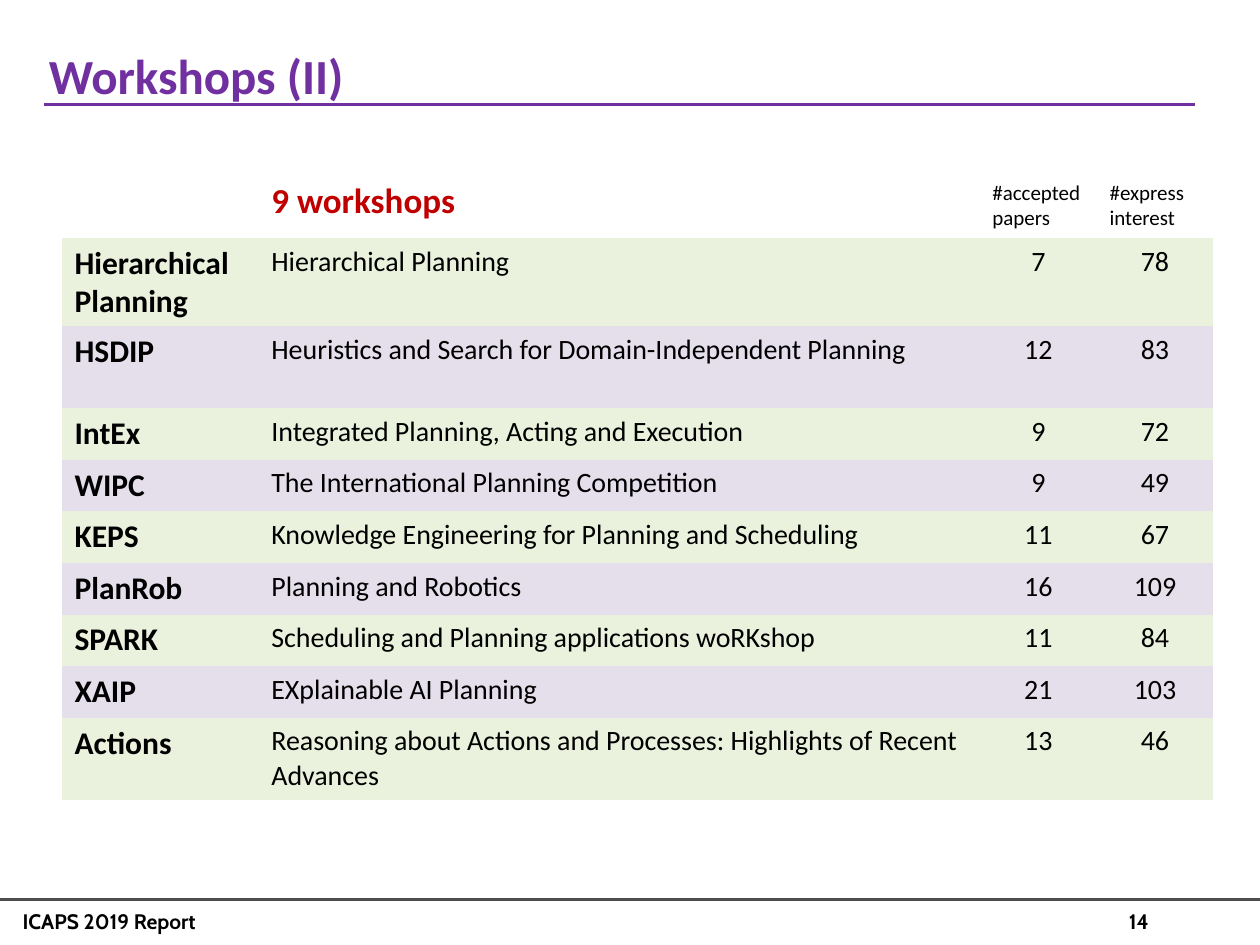
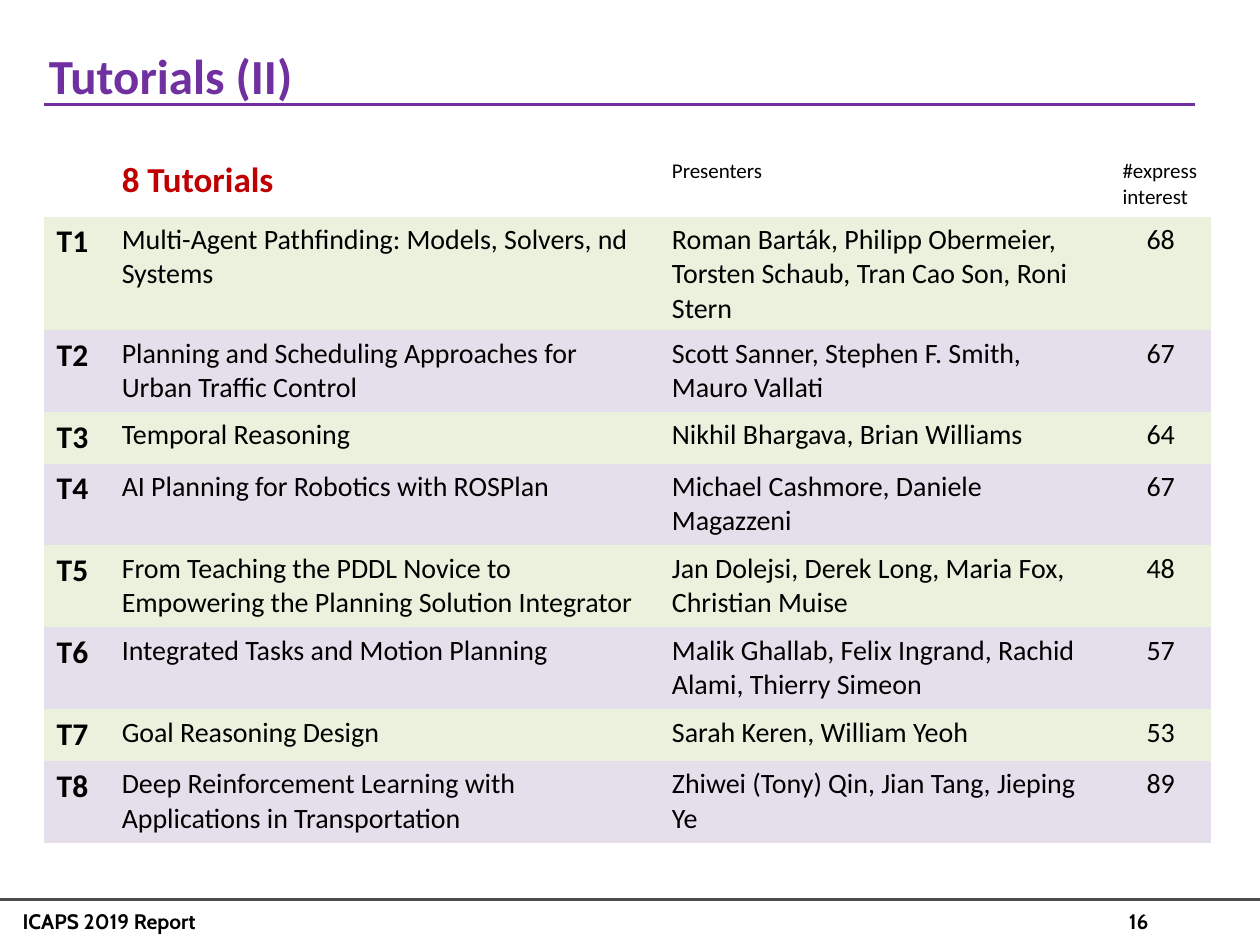
import pptx
import pptx.util
import pptx.dml.color
import pptx.enum.shapes
import pptx.enum.text
import pptx.oxml.ns
from lxml import etree

Pt = pptx.util.Pt
RGB = pptx.dml.color.RGBColor
ALIGN = pptx.enum.text.PP_ALIGN

# Shared look
PURPLE = RGB(0x70, 0x30, 0xA0)
RED = RGB(0xC0, 0x00, 0x00)
BLACK = RGB(0x00, 0x00, 0x00)
GREY = RGB(0x4D, 0x4D, 0x4D)
GREEN = RGB(0xEA, 0xF1, 0xDD)
LILAC = RGB(0xE5, 0xDF, 0xEC)
BANDS = (GREEN, LILAC)
BODY = "Calibri"
FOOT = "Cabin"
PLAIN = "{2D5ABB26-0587-4C30-8999-92F81FD0307C}"  # table style without grid

# Row heights: header, one line, two lines
HEAD, ONE, TWO = 36.7, 29.5, 46.8

WORKSHOPS = [
    ("Hierarchical Planning", "Hierarchical Planning", 7, 78),
    ("HSDIP", "Heuristics and Search for Domain-Independent Planning", 12, 83),
    ("IntEx", "Integrated Planning, Acting and Execution", 9, 72),
    ("WIPC", "The International Planning Competition", 9, 49),
    ("KEPS", "Knowledge Engineering for Planning and Scheduling", 11, 67),
    ("PlanRob", "Planning and Robotics", 16, 109),
    ("SPARK", "Scheduling and Planning applications woRKshop", 11, 84),
    ("XAIP", "EXplainable AI Planning", 21, 103),
    ("Actions", "Reasoning about Actions and Processes: "
     "Highlights of Recent Advances", 13, 46),
]

TUTORIALS = [
    ("T1", "Multi-Agent Pathfinding: Models, Solvers, nd Systems",
     "Roman Barták, Philipp Obermeier, Torsten Schaub, Tran Cao Son, "
     "Roni Stern", 68),
    ("T2", "Planning and Scheduling Approaches for Urban Traffic Control",
     "Scott Sanner, Stephen F. Smith, Mauro Vallati", 67),
    ("T3", "Temporal Reasoning", "Nikhil Bhargava, Brian Williams", 64),
    ("T4", "AI Planning for Robotics with ROSPlan",
     "Michael Cashmore, Daniele Magazzeni", 67),
    ("T5", "From Teaching the PDDL Novice to Empowering the Planning "
     "Solution Integrator",
     "Jan Dolejsi, Derek Long, Maria Fox, Christian Muise", 48),
    ("T6", "Integrated Tasks and Motion Planning",
     "Malik Ghallab, Felix Ingrand, Rachid Alami, Thierry Simeon", 57),
    ("T7", "Goal Reasoning Design", "Sarah Keren, William Yeoh", 53),
    ("T8", "Deep Reinforcement Learning with Applications in Transportation",
     "Zhiwei (Tony) Qin, Jian Tang, Jieping Ye", 89),
]


def write(frame, text, size, color=BLACK, bold=False, font=BODY,
          align=ALIGN.LEFT):
    """Add one formatted run to the first paragraph of a frame."""
    para = frame.paragraphs[0]
    para.alignment = align
    run = para.add_run()
    run.text = text
    run.font.name = font
    run.font.size = Pt(size)
    run.font.bold = bold
    run.font.color.rgb = color


def rule(slide, left, right, top, color):
    """Draw a flat horizontal line."""
    line = slide.shapes.add_connector(
        pptx.enum.shapes.MSO_CONNECTOR.STRAIGHT,
        Pt(left), Pt(top), Pt(right), Pt(top))
    line.line.color.rgb = color
    line.line.width = Pt(1.5)
    etree.SubElement(line._element.spPr, pptx.oxml.ns.qn("a:effectLst"))


def label(slide, text, left, width):
    """Add a footer text."""
    box = slide.shapes.add_textbox(Pt(left), Pt(515.5), Pt(width), Pt(21.6))
    box.text_frame.word_wrap = True
    write(box.text_frame, text, 12, bold=True, font=FOOT)


def page(deck, title, number):
    """Add a slide with footer, title and title rule."""
    slide = deck.slides.add_slide(deck.slide_layouts[5])
    rule(slide, 0, 720, 514, GREY)
    label(slide, str(number), 638, 82)
    label(slide, "ICAPS 2019 Report", 5.8, 371.5)

    head = slide.shapes.title
    head.left, head.top = Pt(14.4), Pt(20.9)
    head.width, head.height = Pt(648), Pt(39.6)
    frame = head.text_frame
    frame.auto_size = pptx.enum.text.MSO_AUTO_SIZE.NONE
    frame.vertical_anchor = pptx.enum.text.MSO_ANCHOR.TOP
    frame.margin_left, frame.margin_top = Pt(13.5), Pt(5)
    write(frame, title, 28, PURPLE, True)
    rule(slide, 25.2, 682.6, 59.8, PURPLE)
    return slide


def grid(slide, left, top, widths, heads, rows, tall):
    """Add a banded table; tall holds the numbers of the two-line rows."""
    heights = [HEAD] + [TWO if n in tall else ONE
                        for n in range(1, len(rows) + 1)]
    table = slide.shapes.add_table(
        len(heights), len(widths), Pt(left), Pt(top),
        Pt(sum(widths)), Pt(sum(heights))).table
    table.first_row = table.horz_banding = False
    table._tbl.tblPr.find(pptx.oxml.ns.qn("a:tableStyleId")).text = PLAIN
    for col, width in zip(table.columns, widths):
        col.width = Pt(width)
    for row, height in zip(table.rows, heights):
        row.height = Pt(height)

    # Header: a red caption, then small column names
    for c, text in enumerate(heads, 1):
        frame = table.cell(0, c).text_frame
        if c == 1:
            write(frame, text, 20, RED, True)
        else:
            write(frame, text, 12)

    # Body: bold key, plain text, centred numbers
    for r, row in enumerate(rows):
        for c, value in enumerate(row):
            cell = table.cell(r + 1, c)
            cell.fill.solid()
            cell.fill.fore_color.rgb = BANDS[r % 2]
            align = ALIGN.CENTER if isinstance(value, int) else ALIGN.LEFT
            write(cell.text_frame, str(value), 16 if c else 18,
                  bold=c == 0, align=align)


def main():
    deck = pptx.Presentation()
    deck.slide_width, deck.slide_height = Pt(720), Pt(540)

    slide = page(deck, "Workshops (II)", 14)
    grid(slide, 35.4, 99.4, (112.5, 412, 67, 66.3),
         ("9 workshops", "#accepted papers", "#express interest"),
         WORKSHOPS, (1, 2, 9))

    slide = page(deck, "Tutorials (II)", 16)
    grid(slide, 25.2, 87.1, (37.2, 314.4, 257.5, 58),
         ("8 Tutorials", "Presenters", "#express interest"),
         TUTORIALS, (1, 2, 4, 5, 6, 8))

    deck.save("out.pptx")


if __name__ == "__main__":
    main()
